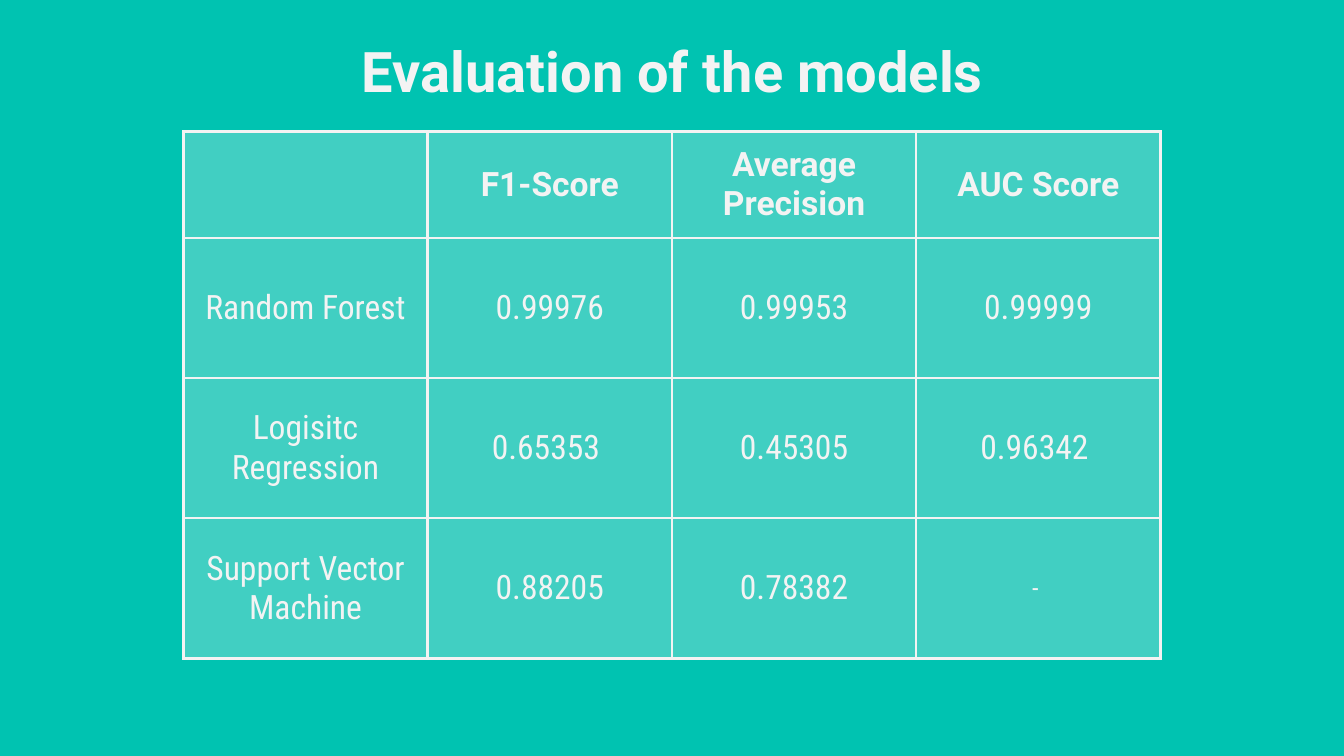
from lxml.etree import SubElement
from pptx import Presentation
from pptx.dml.color import RGBColor
from pptx.enum.text import MSO_ANCHOR, PP_ALIGN
from pptx.oxml import parse_xml
from pptx.oxml.ns import nsdecls, qn
from pptx.util import Inches, Pt

TEAL = "00C3B1"
OFF_WHITE = "F3F3F3"
FILL_OPACITY = 27
BORDER_WIDTH = 1.5
SLIDE_WIDTH = 10
SLIDE_HEIGHT = SLIDE_WIDTH * 9 / 16
TABLE_WIDTH = 7.27
TABLE_HEIGHT = 3.92
HEADER_HEIGHT = 0.79

SCORES = [
    ["", "F1-Score", "Average Precision", "AUC Score"],
    ["Random Forest", "0.99976", "0.99953", "0.99999"],
    ["Logisitc Regression", "0.65353 ", "0.45305", "0.96342 "],
    ["Support Vector Machine", "0.88205", "0.78382", "- "],
]


def color(value):
    return RGBColor.from_string(value)


def set_margins(target):
    """Give a text frame or a table cell equal margins on all sides."""
    for side in ("left", "right", "top", "bottom"):
        setattr(target, f"margin_{side}", Inches(0.1))


def format_paragraph(paragraph, font_name, size, bold):
    paragraph.alignment = PP_ALIGN.CENTER
    font = paragraph.font
    font.name = font_name
    font.size = Pt(size)
    font.bold = bold
    font.color.rgb = color(OFF_WHITE)


def set_background(slide):
    fill = slide.background.fill
    fill.solid()
    fill.fore_color.rgb = color(TEAL)


def add_title(slide, text):
    title = slide.shapes.title
    title.left, title.top = Inches(0.79), Inches(0.17)
    title.width, title.height = Inches(8.43), Inches(0.63)
    frame = title.text_frame
    frame.text = text
    frame.word_wrap = True
    frame.vertical_anchor = MSO_ANCHOR.TOP
    set_margins(frame)
    format_paragraph(frame.paragraphs[0], "Roboto", 30, True)


def fill_cell(cell):
    cell.fill.solid()
    cell.fill.fore_color.rgb = color(OFF_WHITE)
    rgb = cell.fill._xPr.find(".//" + qn("a:srgbClr"))
    SubElement(rgb, qn("a:alpha")).set("val", str(FILL_OPACITY * 1000))


def add_borders(cell):
    """Outline the cell; border elements must come before its fill."""
    properties = cell._tc.get_or_add_tcPr()
    for index, side in enumerate(("lnL", "lnR", "lnT", "lnB")):
        border = parse_xml(
            f'<a:{side} {nsdecls("a")} w="{Pt(BORDER_WIDTH)}"><a:solidFill>'
            f'<a:srgbClr val="{OFF_WHITE}"/></a:solidFill></a:{side}>'
        )
        properties.insert(index, border)


def format_cell(cell, text, is_header):
    cell.text = text
    cell.vertical_anchor = MSO_ANCHOR.MIDDLE
    set_margins(cell)
    font_name = "Roboto" if is_header else "Roboto Condensed"
    size = 14 if text.strip() == "-" else 18
    format_paragraph(cell.text_frame.paragraphs[0], font_name, size, is_header)
    fill_cell(cell)
    add_borders(cell)


def add_score_table(slide, scores):
    """Add the table, centred across the slide, with equal columns."""
    row_count, column_count = len(scores), len(scores[0])
    body_row_count = row_count - 1
    row_height = (TABLE_HEIGHT - HEADER_HEIGHT) / body_row_count
    heights = [HEADER_HEIGHT] + [row_height] * body_row_count
    table = slide.shapes.add_table(
        row_count, column_count,
        Inches((SLIDE_WIDTH - TABLE_WIDTH) / 2), Inches(0.98),
        Inches(TABLE_WIDTH), Inches(TABLE_HEIGHT),
    ).table
    table.first_row = False
    table.horz_banding = False
    for column in table.columns:
        column.width = Inches(TABLE_WIDTH / column_count)
    for row_index, (row, height) in enumerate(zip(table.rows, heights)):
        row.height = Inches(height)
        for cell, text in zip(row.cells, scores[row_index]):
            format_cell(cell, text, row_index == 0)


def main():
    presentation = Presentation()
    presentation.slide_width = Inches(SLIDE_WIDTH)
    presentation.slide_height = Inches(SLIDE_HEIGHT)
    title_only = presentation.slide_layouts[5]
    slide = presentation.slides.add_slide(title_only)
    set_background(slide)
    add_title(slide, "Evaluation of the models")
    add_score_table(slide, SCORES)
    presentation.save("out.pptx")


if __name__ == "__main__":
    main()
